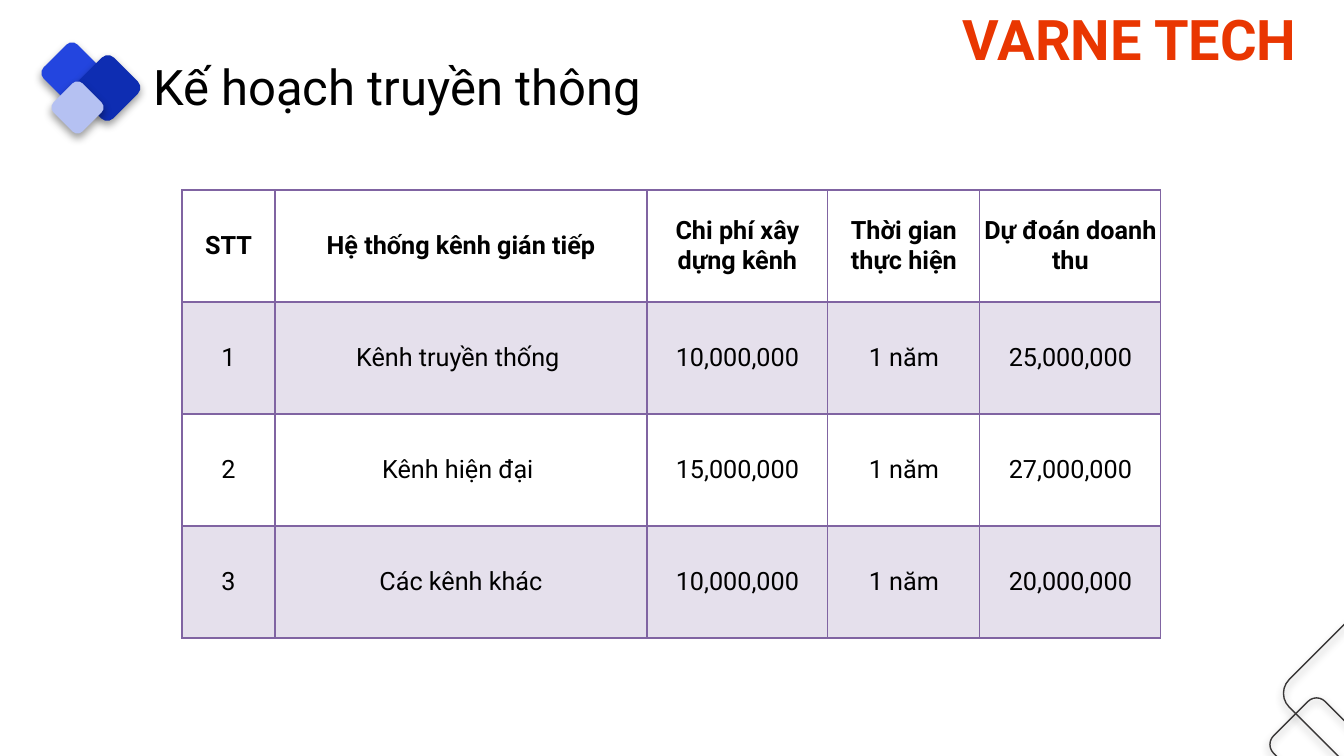
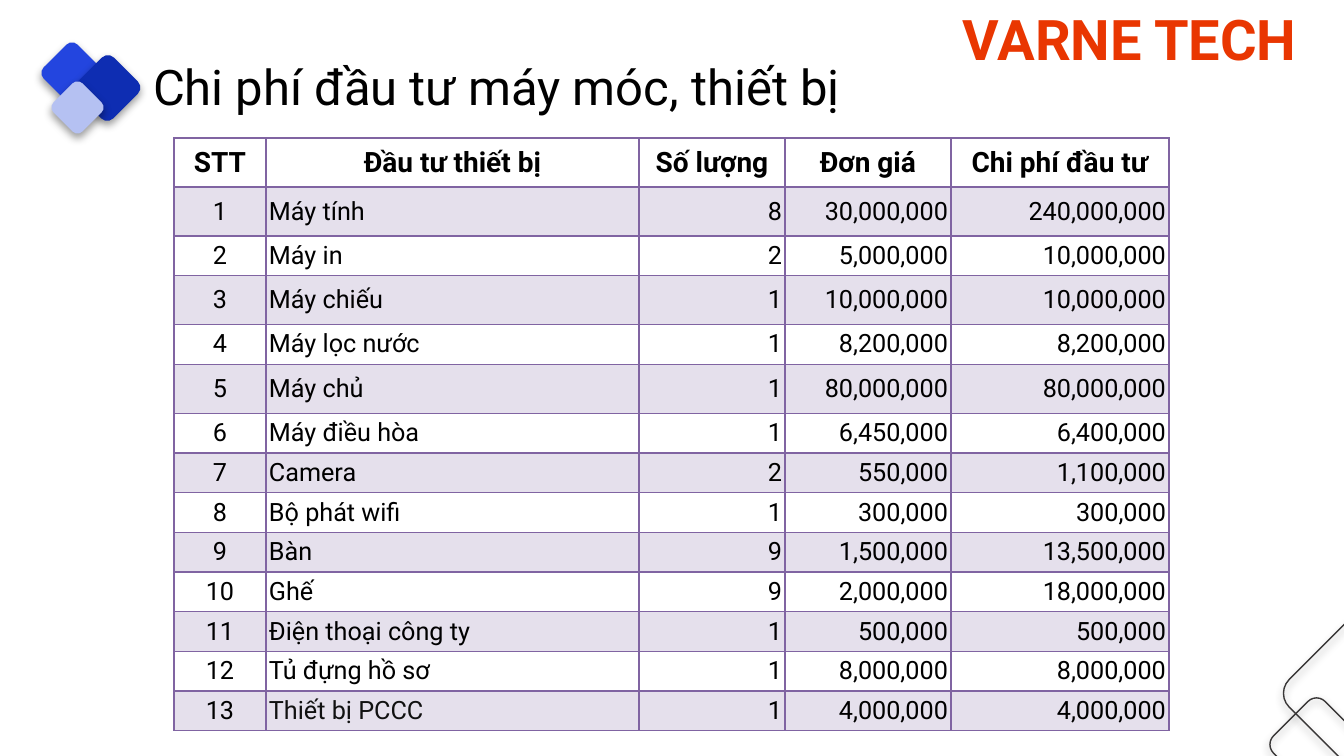
import pptx
import pptx.dml.color
import pptx.enum.shapes
import pptx.enum.text
import pptx.oxml
import pptx.oxml.ns
import pptx.util
import lxml.etree

SCALE = 12192000 / 1344
FONT = "Roboto"
BLACK = "000000"
ORANGE = "E93601"
PURPLE = "8064A2"
OUTLINE = "393737"
LEFT = pptx.enum.text.PP_ALIGN.LEFT
CENTER = pptx.enum.text.PP_ALIGN.CENTER
RIGHT = pptx.enum.text.PP_ALIGN.RIGHT
MIDDLE = pptx.enum.text.MSO_ANCHOR.MIDDLE

LOGO_TILES = [
    ((48, 49, 48, 48), "2345DF"),
    ((82, 62, 51, 52), "0E2DB2"),
    ((57, 87, 41, 41), "B5C1F2"),
]
CORNER_TILES = [(1280, 708, 73, 73), (1300, 634, 117, 118)]
BRAND_BOX = (953, 0, 391, 78)
TITLE_BOX = (143, 51, 970, 70)

CHANNELS = [
    ["STT", "Hệ thống kênh gián tiếp", "Chi phí xây dựng kênh", "Thời gian thực hiện", "Dự đoán doanh thu"],
    ["1", "Kênh truyền thống ", "10,000,000", "1 năm", "25,000,000"],
    ["2", "Kênh hiện đại ", "15,000,000", "1 năm", "27,000,000"],
    ["3", "Các kênh khác", "10,000,000", "1 năm", "20,000,000"],
]
EQUIPMENT = [
    ["STT", "Đầu tư thiết bị", "Số lượng", "Đơn giá", "Chi phí đầu tư"],
    ["1", "Máy tính", "8", "30,000,000", "240,000,000"],
    ["2", "Máy in", "2", "5,000,000", "10,000,000"],
    ["3", "Máy chiếu", "1", "10,000,000", "10,000,000"],
    ["4", "Máy lọc nước", "1", "8,200,000", "8,200,000"],
    ["5", "Máy chủ", "1", "80,000,000", "80,000,000"],
    ["6", "Máy điều hòa", "1", "6,450,000", "6,400,000"],
    ["7", "Camera", "2", "550,000", "1,100,000"],
    ["8", "Bộ phát wifi", "1", "300,000", "300,000"],
    ["9", "Bàn", "9", "1,500,000", "13,500,000"],
    ["10", "Ghế", "9", "2,000,000", "18,000,000"],
    ["11", "Điện thoại công ty", "1", "500,000", "500,000"],
    ["12", "Tủ đựng hồ sơ", "1", "8,000,000", "8,000,000"],
    ["13", "Thiết bị PCCC", "1", "4,000,000", "4,000,000"],
]


def px(length):
    return pptx.util.Emu(round(length * SCALE))


def place(box):
    return [px(length) for length in box]


def color(value):
    return pptx.dml.color.RGBColor.from_string(value)


def write(frame, text, size, ink=BLACK, bold=False, align=LEFT):
    frame.text = text
    para = frame.paragraphs[0]
    para.alignment = align
    for span in para.runs:
        span.font.name = FONT
        span.font.size = pptx.util.Pt(size)
        span.font.bold = bold
        span.font.color.rgb = color(ink)


def add_shadow(shape):
    shape.shadow.inherit = False
    effects = shape.element.spPr.find(pptx.oxml.ns.qn("a:effectLst"))
    effects.append(pptx.oxml.parse_xml(
        f'<a:outerShdw {pptx.oxml.ns.nsdecls("a")} blurRad="76200" dist="38100" dir="5400000" '
        'algn="t" rotWithShape="0"><a:srgbClr val="000000"><a:alpha val="39000"/></a:srgbClr></a:outerShdw>'))


def add_tile(page, box, fill=None):
    tile = page.shapes.add_shape(pptx.enum.shapes.MSO_SHAPE.ROUNDED_RECTANGLE, *place(box))
    tile.rotation = 45
    if fill:
        tile.fill.solid()
        tile.fill.fore_color.rgb = color(fill)
        tile.line.fill.background()
    else:
        tile.fill.background()
        tile.line.color.rgb = color(OUTLINE)
        tile.line.width = pptx.util.Pt(1)
    add_shadow(tile)
    return tile


def add_brand(page, box):
    brand = page.shapes.add_textbox(*place(box))
    brand.text_frame.word_wrap = True
    write(brand.text_frame, "VARNE TECH", 40, ORANGE, bold=True)
    return brand


def decorate_layout(layout, page):
    for holder in list(layout.placeholders):
        if holder.placeholder_format.type != pptx.enum.shapes.PP_PLACEHOLDER.TITLE:
            holder.element.getparent().remove(holder.element)
    parts = [add_tile(page, box, fill) for box, fill in LOGO_TILES]
    parts += [add_tile(page, box) for box in CORNER_TILES]
    parts.append(add_brand(page, BRAND_BOX))
    for part in parts:
        layout.element.cSld.spTree.append(part.element)


def set_title(page, text):
    title = page.shapes.title
    title.left, title.top, title.width, title.height = place(TITLE_BOX)
    frame = title.text_frame
    frame.word_wrap = True
    frame.auto_size = pptx.enum.text.MSO_AUTO_SIZE.NONE
    frame.vertical_anchor = pptx.enum.text.MSO_ANCHOR.TOP
    write(frame, text, 35)


def set_borders(cell, top, bottom):
    properties = cell._tc.get_or_add_tcPr()
    for side, width in (("L", 1), ("R", 1), ("T", top), ("B", bottom)):
        properties.append(pptx.oxml.parse_xml(
            f'<a:ln{side} {pptx.oxml.ns.nsdecls("a")} w="{pptx.util.Pt(width)}">'
            f'<a:solidFill><a:srgbClr val="{PURPLE}"/></a:solidFill></a:ln{side}>'))


def fill_cell(cell, tinted):
    if not tinted:
        cell.fill.background()
        return
    cell.fill.solid()
    cell.fill.fore_color.rgb = color(PURPLE)
    tint = cell._tc.tcPr.find(".//" + pptx.oxml.ns.qn("a:solidFill") + "[last()]")
    tint = cell._tc.tcPr.findall(pptx.oxml.ns.qn("a:solidFill"))[0][0]
    lxml.etree.SubElement(tint, pptx.oxml.ns.qn("a:alpha")).set("val", "20000")


def add_grid(page, box, columns, heights, rows, aligns, header_size):
    grid = page.shapes.add_table(len(rows), len(columns), *place(box)).table
    grid.first_row = False
    grid.horz_banding = False
    for column, width in zip(grid.columns, columns):
        column.width = px(width)
    for row, height in zip(grid.rows, heights):
        row.height = px(height)
    for r, texts in enumerate(rows):
        header = r == 0
        for c, text in enumerate(texts):
            cell = grid.cell(r, c)
            cell.margin_left = cell.margin_right = px(3)
            cell.margin_top = cell.margin_bottom = 0
            cell.vertical_anchor = MIDDLE
            set_borders(cell, 2 if r == 1 else 1, 2 if header else 1)
            fill_cell(cell, r % 2 == 1)
            write(cell.text_frame, text, header_size if header else 18,
                  bold=header, align=CENTER if header else aligns[c])
    return grid


def build_channels(page, box):
    set_title(page, "Kế hoạch truyền thông")
    heights = [box[3] / len(CHANNELS)] * len(CHANNELS)
    add_grid(page, box, [93, 372, 181, 152, 181], heights, CHANNELS, [CENTER] * 5, 18)


def build_equipment(page, box):
    set_title(page, "Chi phí đầu tư máy móc, thiết bị")
    tall, tall_rows = 49, (0, 1, 3, 5)
    short = (box[3] - tall * len(tall_rows)) / (len(EQUIPMENT) - len(tall_rows))
    heights = [tall if r in tall_rows else short for r in range(len(EQUIPMENT))]
    grid = add_grid(page, box, [92, 373, 146, 166, 218], heights, EQUIPMENT,
                    [CENTER, LEFT, RIGHT, RIGHT, RIGHT], 20)
    last_item = grid.cell(len(EQUIPMENT) - 1, 1).text_frame.paragraphs[0]
    last_item.runs[0].font.color.rgb = color("111111")


deck = pptx.Presentation()
deck.slide_width, deck.slide_height = px(1344), px(756)
title_only = deck.slide_layouts[5]
channels_page = deck.slides.add_slide(title_only)
decorate_layout(title_only, channels_page)
build_channels(channels_page, (182, 190, 979, 448))
build_equipment(deck.slides.add_slide(title_only), (174, 138, 995, 593))
deck.save("out.pptx")
